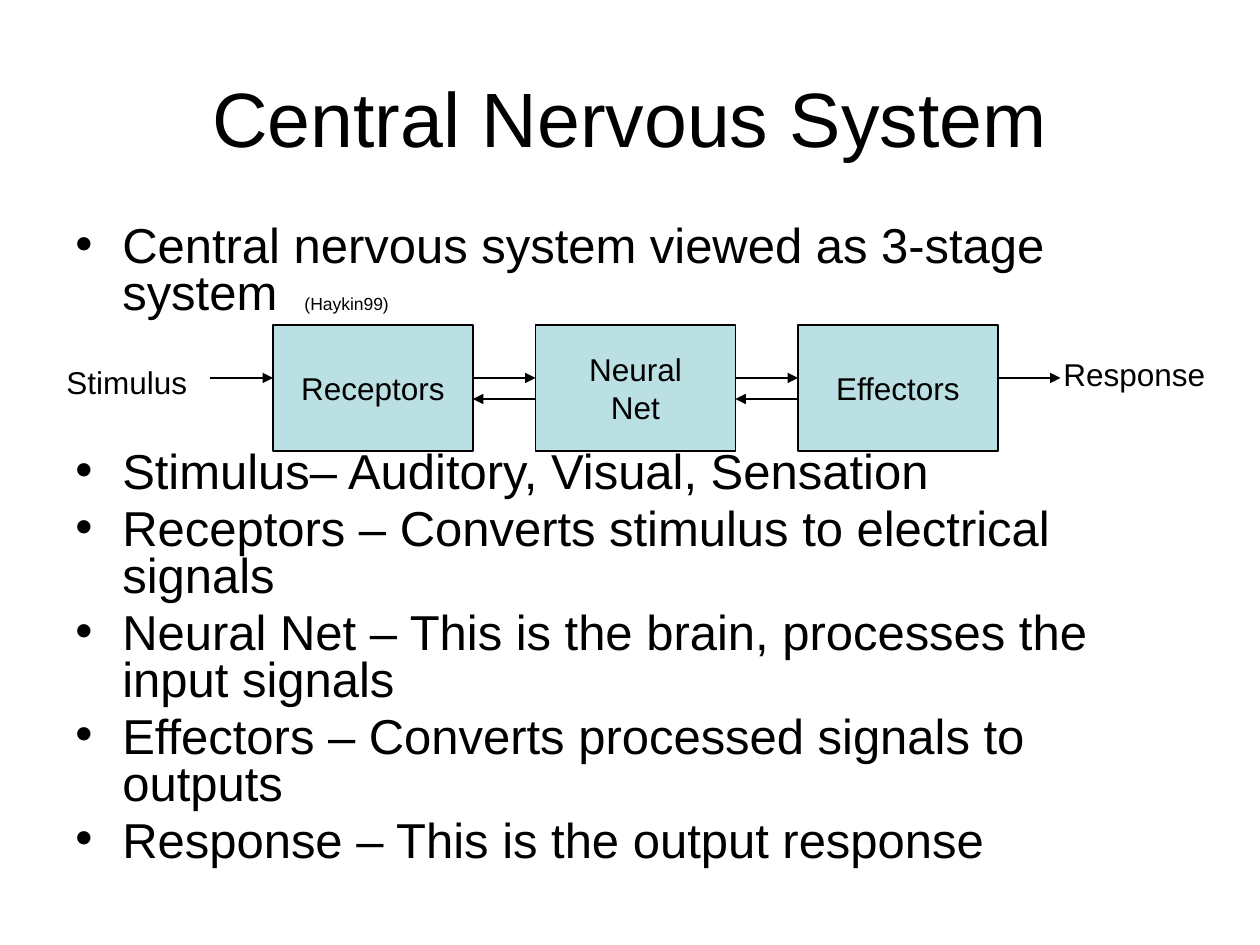
from lxml import etree
from pptx import Presentation
from pptx.dml.color import RGBColor
from pptx.enum.shapes import MSO_CONNECTOR, MSO_SHAPE
from pptx.enum.text import MSO_ANCHOR, MSO_AUTO_SIZE, PP_ALIGN
from pptx.oxml.ns import qn
from pptx.util import Emu, Pt

PX = 914400 // 126
TITLE_ONLY = 5
LEFT, CENTER = PP_ALIGN.LEFT, PP_ALIGN.CENTER
TOP, MIDDLE = MSO_ANCHOR.TOP, MSO_ANCHOR.MIDDLE
RECTANGLE, STRAIGHT = MSO_SHAPE.RECTANGLE, MSO_CONNECTOR.STRAIGHT
FONT = "Arial"
COLORS = {"ink": "000000", "stage": "BBE0E3", "paper": "FFFFFF"}

STAGES = ["Receptors", "Neural\vNet", "Effectors"]
STAGE_LEFT, STAGE_TOP, STAGE_WIDTH, STAGE_HEIGHT = 273, 325, 200, 126
STAGE_PITCH, GAP = 262.5, 62.5
FORWARD_Y, BACK_Y = 378, 399

INTRO = "Central nervous system viewed as 3-stage system  "
CITATION = "(Haykin99)"
DEFINITIONS = [
    "Stimulus– Auditory, Visual, Sensation",
    "Receptors – Converts stimulus to electrical signals",
    "Neural Net – This is the brain, processes the input signals",
    "Effectors – Converts processed signals to outputs",
    "Response – This is the output response",
]
BULLET_SPACE, DIAGRAM_SPACE = 5.6, 75


def px(*lengths):
    """Turn picture pixels into a list of EMU lengths."""
    return [Emu(round(length * PX)) for length in lengths]


def rgb(name):
    """Look up a named colour."""
    return RGBColor.from_string(COLORS[name])


def style_run(run, size):
    """Set font, size and colour of one run."""
    run.font.name = FONT
    run.font.size = Pt(size)
    run.font.color.rgb = rgb("ink")


def write(frame, text, size=18, align=LEFT, anchor=TOP, wrap=False):
    """Fill a text frame with one formatted paragraph."""
    frame.word_wrap = wrap
    frame.vertical_anchor = anchor
    paragraph = frame.paragraphs[0]
    paragraph.text = text
    paragraph.alignment = align
    for run in paragraph.runs:
        style_run(run, size)
    return paragraph


def make_bullet(paragraph, space_before):
    """Give a paragraph a hanging bullet and tight line spacing."""
    paragraph.line_spacing = 0.8
    paragraph.space_before = Pt(space_before)
    properties = paragraph._p.get_or_add_pPr()
    indent = px(47)[0]
    properties.set("marL", str(indent))
    properties.set("indent", str(-indent))
    etree.SubElement(properties, qn("a:buFont"), typeface=FONT)
    etree.SubElement(properties, qn("a:buChar"), char="•")


def add_title(slide, text):
    """Place and format the title placeholder."""
    title = slide.shapes.title
    title.left, title.top, title.width, title.height = px(63, 38, 1134, 157)
    write(title.text_frame, text, size=44, align=CENTER, anchor=MIDDLE, wrap=True)


def add_bullets(slide):
    """Add the bullet list, leaving room for the diagram after the intro."""
    frame = slide.shapes.add_textbox(*px(63, 220, 1134, 672)).text_frame
    intro = write(frame, INTRO, size=28, wrap=True)
    citation = intro.add_run()
    citation.text = CITATION
    style_run(citation, 10)
    make_bullet(intro, BULLET_SPACE)
    for index, definition in enumerate(DEFINITIONS):
        paragraph = frame.add_paragraph()
        run = paragraph.add_run()
        run.text = definition
        style_run(run, 28)
        make_bullet(paragraph, BULLET_SPACE if index else DIAGRAM_SPACE)


def add_stage(slide, text, left):
    """Add one stage box."""
    stage = slide.shapes.add_shape(
        RECTANGLE, *px(left, STAGE_TOP, STAGE_WIDTH, STAGE_HEIGHT))
    stage.shadow.inherit = False
    stage.fill.solid()
    stage.fill.fore_color.rgb = rgb("stage")
    stage.line.color.rgb = rgb("ink")
    stage.line.width = Pt(0.75)
    write(stage.text_frame, text, align=CENTER, anchor=MIDDLE)


def add_label(slide, text, left, top, width):
    """Add a free label at one end of the chain."""
    frame = slide.shapes.add_textbox(*px(left, top, width, 50)).text_frame
    write(frame, text)
    frame.auto_size = MSO_AUTO_SIZE.SHAPE_TO_FIT_TEXT


def add_arrow(slide, start, end, y):
    """Add a horizontal arrow pointing at its end."""
    arrow = slide.shapes.add_connector(STRAIGHT, *px(start, y, end, y))
    arrow.line.color.rgb = rgb("ink")
    arrow.line.width = Pt(0.75)
    etree.SubElement(arrow.line._get_or_add_ln(), qn("a:tailEnd"), type="triangle")
    etree.SubElement(arrow._element.spPr, qn("a:effectLst"))


def add_diagram(slide):
    """Add the stages, end labels and signal arrows."""
    for index, stage in enumerate(STAGES):
        add_stage(slide, stage, STAGE_LEFT + index * STAGE_PITCH)
    add_label(slide, "Stimulus", 54, 357, 146)
    add_label(slide, "Response", 1051, 349, 168)
    for index in range(len(STAGES) + 1):
        end = STAGE_LEFT + index * STAGE_PITCH
        add_arrow(slide, end - GAP, end, FORWARD_Y)
        if 0 < index < len(STAGES):
            add_arrow(slide, end, end - GAP, BACK_Y)


def main():
    """Build and save the slide."""
    deck = Presentation()
    deck.slide_width, deck.slide_height = px(1260, 945)
    slide = deck.slides.add_slide(deck.slide_layouts[TITLE_ONLY])
    slide.background.fill.solid()
    slide.background.fill.fore_color.rgb = rgb("paper")
    add_title(slide, "Central Nervous System")
    add_bullets(slide)
    add_diagram(slide)
    deck.save("out.pptx")


main()
